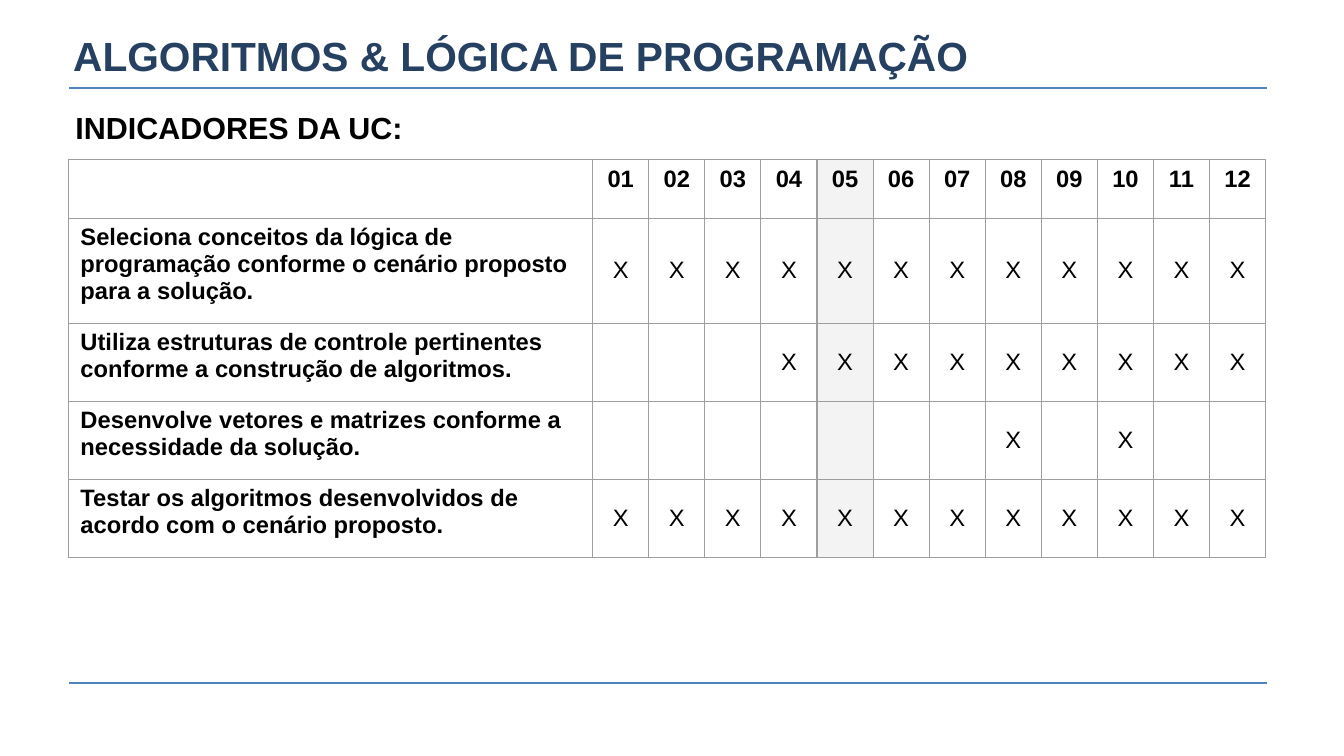
"""Build the slide that maps course indicators to the lessons covering them."""
import dataclasses

import lxml.etree
import pptx
import pptx.dml.color
import pptx.enum.shapes
import pptx.enum.text
import pptx.oxml.ns
import pptx.presentation
import pptx.slide
import pptx.table
import pptx.text.text
import pptx.util

Inches = pptx.util.Inches
Pt = pptx.util.Pt
Align = pptx.enum.text.PP_ALIGN
Anchor = pptx.enum.text.MSO_ANCHOR
qn = pptx.oxml.ns.qn

COLORS = {
    "title": "254061",
    "text": "000000",
    "rule": "4F81BD",
    "grid": "9E9E9E",
    "current": "F3F3F3",
}
FONT = "Arial"
LESSONS = range(1, 13)
CURRENT_LESSON = 5
RULE_HEIGHTS = (5.6, 0.72)
ROW_HEIGHTS = (0.48, 0.86, 0.64, 0.64, 0.64)
INDICATOR_WIDTH = 4.3
LESSON_WIDTH = 0.46


@dataclasses.dataclass(frozen=True)
class Indicator:
    description: str
    lessons: tuple[int, ...]


@dataclasses.dataclass(frozen=True)
class Heading:
    text: str
    left: float
    top: float
    width: float
    height: float
    size: int
    color: str
    inset: float = 0
    anchor: Anchor = Anchor.TOP
    line_spacing: float = 1.0
    space_after: int = 0


INDICATORS = (
    Indicator(
        "Seleciona conceitos da lógica de programação conforme o cenário proposto para a solução.",
        tuple(LESSONS),
    ),
    Indicator(
        "Utiliza estruturas de controle pertinentes conforme a construção de algoritmos.",
        tuple(range(4, 13)),
    ),
    Indicator("Desenvolve vetores e matrizes conforme a necessidade da solução.", (8, 10)),
    Indicator("Testar os algoritmos desenvolvidos de acordo com o cenário proposto.", tuple(LESSONS)),
)
HEADINGS = (
    Heading("ALGORITMOS & LÓGICA DE PROGRAMAÇÃO", 0.6, 0.22, 9.82, 0.47, 24, "title",
            anchor=Anchor.MIDDLE),
    Heading("INDICADORES DA UC:", 0.52, 0.75, 9.91, 4.82, 18, "text",
            inset=0.1, line_spacing=1.15, space_after=10),
)


def write_text(
    frame: pptx.text.text.TextFrame,
    text: str,
    *,
    size: int = 14,
    color: str = "text",
    bold: bool = True,
    align: Align = Align.LEFT,
    line_spacing: float = 1.0,
    space_after: int = 0,
) -> None:
    paragraph = frame.paragraphs[0]
    paragraph.alignment = align
    paragraph.line_spacing = line_spacing
    paragraph.space_after = Pt(space_after)
    run = paragraph.add_run()
    run.text = text
    run.font.name = FONT
    run.font.size = Pt(size)
    run.font.bold = bold
    run.font.color.rgb = pptx.dml.color.RGBColor.from_string(COLORS[color])


def add_rule(slide: pptx.slide.Slide, height: float) -> None:
    rule = slide.shapes.add_connector(
        pptx.enum.shapes.MSO_CONNECTOR.STRAIGHT,
        Inches(0.57), Inches(height), Inches(10.39), Inches(height),
    )
    rule.line.color.rgb = pptx.dml.color.RGBColor.from_string(COLORS["rule"])
    rule.line.width = Pt(1)
    lxml.etree.SubElement(rule._element.spPr, qn("a:effectLst"))


def add_heading(slide: pptx.slide.Slide, heading: Heading) -> None:
    box = slide.shapes.add_textbox(
        Inches(heading.left), Inches(heading.top), Inches(heading.width), Inches(heading.height)
    )
    frame = box.text_frame
    frame.word_wrap = True
    frame.vertical_anchor = heading.anchor
    frame.margin_left = frame.margin_right = Inches(heading.inset)
    frame.margin_top = frame.margin_bottom = Inches(heading.inset)
    write_text(frame, heading.text, size=heading.size, color=heading.color,
               line_spacing=heading.line_spacing, space_after=heading.space_after)


def style_cell(cell: pptx.table._Cell, is_current: bool) -> None:
    properties = cell._tc.get_or_add_tcPr()
    for side in ("a:lnL", "a:lnR", "a:lnT", "a:lnB"):
        border = lxml.etree.SubElement(properties, qn(side), w=str(Pt(0.75)))
        fill = lxml.etree.SubElement(border, qn("a:solidFill"))
        lxml.etree.SubElement(fill, qn("a:srgbClr"), val=COLORS["grid"])
    cell.margin_left = cell.margin_right = Inches(0.1)
    cell.margin_top = cell.margin_bottom = Inches(0.05)
    if is_current:
        cell.fill.solid()
        cell.fill.fore_color.rgb = pptx.dml.color.RGBColor.from_string(COLORS["current"])
    else:
        cell.fill.background()


def add_schedule(slide: pptx.slide.Slide) -> None:
    widths = [INDICATOR_WIDTH] + [LESSON_WIDTH] * len(LESSONS)
    schedule = slide.shapes.add_table(
        len(ROW_HEIGHTS), len(widths),
        Inches(0.56), Inches(1.31), Inches(sum(widths)), Inches(sum(ROW_HEIGHTS)),
    ).table
    schedule.first_row = schedule.horz_banding = False
    for column, width in zip(schedule.columns, widths):
        column.width = Inches(width)
    for row, height in zip(schedule.rows, ROW_HEIGHTS):
        row.height = Inches(height)
        for lesson, cell in enumerate(row.cells):
            style_cell(cell, lesson == CURRENT_LESSON)
    for lesson in LESSONS:
        write_text(schedule.cell(0, lesson).text_frame, f"{lesson:02}", align=Align.CENTER)
    for row_index, indicator in enumerate(INDICATORS, start=1):
        write_text(schedule.cell(row_index, 0).text_frame, indicator.description)
        for lesson in indicator.lessons:
            mark = schedule.cell(row_index, lesson)
            mark.vertical_anchor = Anchor.MIDDLE
            write_text(mark.text_frame, "X", bold=False, align=Align.CENTER)


def main() -> None:
    presentation = pptx.Presentation()
    presentation.slide_width = Inches(11.02)
    presentation.slide_height = Inches(6.2)
    slide = presentation.slides.add_slide(presentation.slide_layouts[6])
    for height in RULE_HEIGHTS:
        add_rule(slide, height)
    for heading in HEADINGS:
        add_heading(slide, heading)
    add_schedule(slide)
    presentation.save("out.pptx")


if __name__ == "__main__":
    main()
